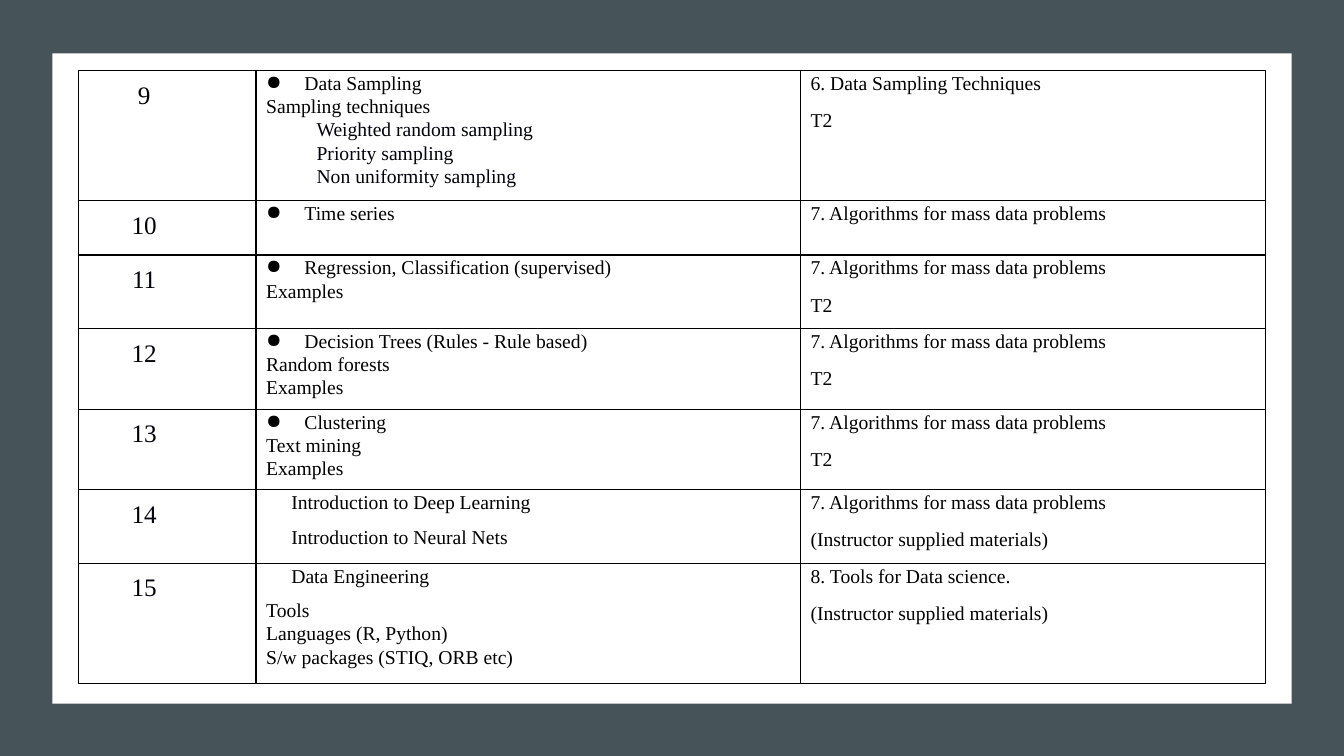
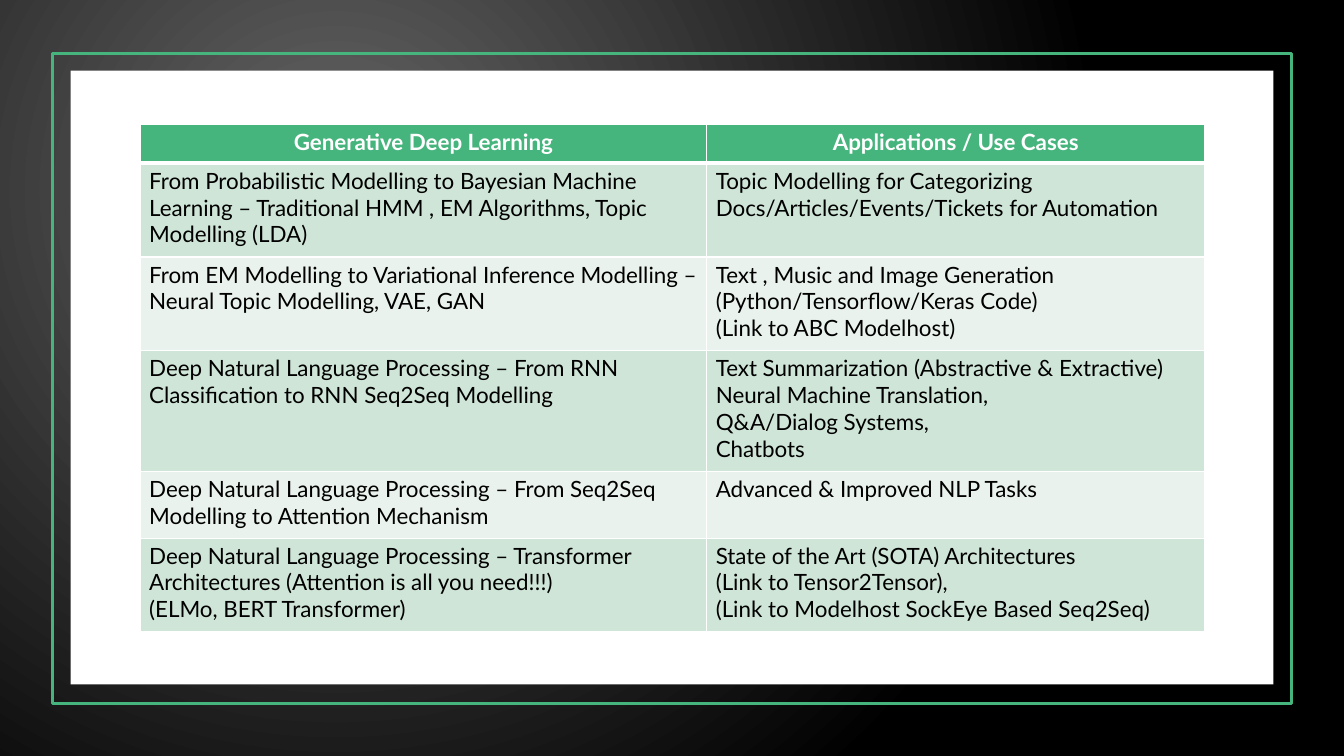
"""Build two course slides: a weekly plan table and a generative deep learning table."""
import lxml.etree
import pptx
import pptx.dml.color
import pptx.enum.shapes
import pptx.enum.text
import pptx.oxml
import pptx.oxml.ns
import pptx.util

Inches = pptx.util.Inches
Pt = pptx.util.Pt
ALIGN = pptx.enum.text.PP_ALIGN

COLORS = {
    "slate": "465359", "green": "46B47D", "white": "FFFFFF", "black": "000000",
    "ink": "00000A", "band_dark": "CFE5D7", "band_light": "E9F2EC",
    "glow": "676767",
}
SLIDE_SIZE = (13.33, 7.5)
FRAME = (0.52, 0.53, 12.29, 6.45)
INNER_PANEL = (0.7, 0.7, 11.93, 6.09)

MASS_DATA = "7. Algorithms for mass data problems"
SUPPLIED = "(Instructor supplied materials)"
PLAN = [
    ("9",
     [("bullet", "Data Sampling"), ("plain", "Sampling techniques"),
      ("nested", "Weighted random sampling"), ("nested", "Priority sampling "),
      ("nested", "Non uniformity sampling")],
     ["6. Data Sampling Techniques", "T2"]),
    ("10", [("bullet", "Time series")], [MASS_DATA]),
    ("11",
     [("bullet", "Regression, Classification (supervised)"), ("plain", "Examples")],
     [MASS_DATA, "T2"]),
    ("12",
     [("bullet", "Decision Trees (Rules - Rule based)"),
      ("plain", "Random forests"), ("plain", "Examples")],
     [MASS_DATA, "T2"]),
    ("13",
     [("bullet", "Clustering"), ("plain", "Text mining"), ("plain", "Examples")],
     [MASS_DATA, "T2"]),
    ("14",
     [("intro", "Introduction to Deep Learning"), ("intro", "Introduction to Neural Nets")],
     [MASS_DATA, SUPPLIED]),
    ("15",
     [("intro", "Data Engineering"), ("plain", "Tools"),
      ("plain", "Languages (R, Python)"), ("plain", "S/w packages (STIQ, ORB etc)")],
     ["8. Tools for Data science.", SUPPLIED]),
]
PLAN_COLUMNS = [1.76, 5.4, 4.61]
PLAN_ROWS = [1.29, 0.54, 0.73, 0.8, 0.8, 0.73, 1.19]
TOPIC_STYLES = {
    "bullet": {"indent": (0.38, -0.38), "bullet": "●"},
    "plain": {"indent": (0.38, -0.38)},
    "nested": {"indent": (0.81, -0.31), "color": "ink"},
    "intro": {"indent": (0.5, -0.25), "after": 8},
}

USE_CASES = [
    (["Generative Deep Learning"], ["Applications / Use Cases"]),
    (["From Probabilistic Modelling to Bayesian Machine Learning – Traditional HMM , "
      "EM Algorithms, Topic Modelling (LDA)"],
     ["Topic Modelling for Categorizing Docs/Articles/Events/Tickets for Automation"]),
    (["From EM Modelling to Variational Inference Modelling – Neural Topic Modelling, "
      "VAE, GAN"],
     ["Text , Music and Image Generation", "(Python/Tensorflow/Keras Code)",
      "(Link to ABC Modelhost)"]),
    (["Deep Natural Language Processing – From RNN Classification to RNN Seq2Seq Modelling"],
     ["Text Summarization (Abstractive & Extractive)", "Neural Machine Translation,",
      "Q&A/Dialog Systems,", "Chatbots"]),
    (["Deep Natural Language Processing – From Seq2Seq Modelling to Attention Mechanism"],
     ["Advanced & Improved NLP Tasks"]),
    (["Deep Natural Language Processing – Transformer Architectures "
      "(Attention is all you need!!!)", "(ELMo, BERT Transformer)"],
     ["State of the Art (SOTA) Architectures", "(Link to Tensor2Tensor),",
      "(Link to Modelhost SockEye Based Seq2Seq)"]),
]
USE_CASE_COLUMNS = [5.62, 4.94]
USE_CASE_ROWS = [0.39, 0.93, 0.93, 1.2, 0.66, 0.93]


def rgb(name):
    return pptx.dml.color.RGBColor.from_string(COLORS[name])


def add_panel(slide, box, fill=None, line=None):
    shape = slide.shapes.add_shape(
        pptx.enum.shapes.MSO_SHAPE.RECTANGLE, *map(Inches, box))
    shape.shadow.inherit = False
    if fill:
        shape.fill.solid()
        shape.fill.fore_color.rgb = rgb(fill)
    else:
        shape.fill.background()
    if line:
        shape.line.color.rgb = rgb(line)
        shape.line.width = Pt(1.75)
    else:
        shape.line.fill.background()
    return shape


def add_glow(shape):
    shape.fill.gradient()
    gradient = shape._element.spPr.find(pptx.oxml.ns.qn("a:gradFill"))
    glow = pptx.oxml.parse_xml(
        f'<a:gradFill {pptx.oxml.ns.nsdecls("a")} rotWithShape="1"><a:gsLst>'
        f'<a:gs pos="0"><a:srgbClr val="{COLORS["glow"]}"/></a:gs>'
        f'<a:gs pos="100000"><a:srgbClr val="{COLORS["black"]}"/></a:gs></a:gsLst>'
        '<a:path path="circle"><a:fillToRect l="50000" t="50000" r="100000" b="100000"/>'
        '</a:path></a:gradFill>')
    gradient.getparent().replace(gradient, glow)


def add_table(slide, left, top, columns, rows):
    frame = slide.shapes.add_table(
        len(rows), len(columns), Inches(left), Inches(top),
        Inches(sum(columns)), Inches(sum(rows)))
    table = frame.table
    for column, width in zip(table.columns, columns):
        column.width = Inches(width)
    for row, height in zip(table.rows, rows):
        row.height = Inches(height)
    return table


def style_cell(cell, margins, border, fill=None, widths=(1, 1, 1, 1)):
    (cell.margin_left, cell.margin_top,
     cell.margin_right, cell.margin_bottom) = map(Inches, margins)
    properties = cell._tc.get_or_add_tcPr()
    for side, width in zip("LRTB", widths):
        properties.append(pptx.oxml.parse_xml(
            f'<a:ln{side} {pptx.oxml.ns.nsdecls("a")} w="{Pt(width)}"><a:solidFill>'
            f'<a:srgbClr val="{COLORS[border]}"/></a:solidFill></a:ln{side}>'))
    if fill:
        cell.fill.solid()
        cell.fill.fore_color.rgb = rgb(fill)
    else:
        cell.fill.background()


def write_cell(cell, lines, font, size, color="black", bold=False,
               align=ALIGN.LEFT, spacing=None, after=0):
    for index, (text, style) in enumerate(lines):
        text_frame = cell.text_frame
        paragraph = text_frame.add_paragraph() if index else text_frame.paragraphs[0]
        paragraph.text = text
        paragraph.alignment = align
        paragraph.line_spacing = spacing
        paragraph.space_after = Pt(style.get("after", after))
        properties = paragraph._p.get_or_add_pPr()
        if "indent" in style:
            margin, indent = style["indent"]
            properties.set("marL", str(Inches(margin)))
            properties.set("indent", str(Inches(indent)))
        if "bullet" in style:
            lxml.etree.SubElement(
                properties, pptx.oxml.ns.qn("a:buChar"), char=style["bullet"])
        paragraph.font.name = font
        paragraph.font.size = Pt(size)
        paragraph.font.bold = bold
        paragraph.font.color.rgb = rgb(style.get("color", color))


def build_plan(slide):
    add_panel(slide, (0, 0, *SLIDE_SIZE), "slate")
    add_panel(slide, FRAME, "white")
    table = add_table(slide, 0.78, 0.7, PLAN_COLUMNS, PLAN_ROWS)
    shared = {"font": "Times New Roman", "spacing": 1.07}
    week_margins, text_margins = (0.09, 0.09, 0.55, 0.09), (0.1, 0.01, 0.1, 0)
    for row, (week, topics, sources) in enumerate(PLAN):
        week_cell, topic_cell, source_cell = table.rows[row].cells
        style_cell(week_cell, week_margins, "black")
        style_cell(topic_cell, text_margins, "black")
        style_cell(source_cell, text_margins, "black")
        write_cell(week_cell, [(week, {})], size=18, color="ink",
                   align=ALIGN.CENTER, after=8, **shared)
        write_cell(topic_cell, [(text, TOPIC_STYLES[kind]) for kind, text in topics],
                   size=14, align=ALIGN.JUSTIFY, **shared)
        write_cell(source_cell, [(text, {}) for text in sources],
                   size=14, after=10, **shared)


def build_use_cases(slide):
    add_glow(add_panel(slide, (0, 0, *SLIDE_SIZE), "black"))
    add_panel(slide, FRAME, line="green")
    add_panel(slide, INNER_PANEL, "white")
    table = add_table(slide, 1.39, 1.23, USE_CASE_COLUMNS, USE_CASE_ROWS)
    for row, texts in enumerate(USE_CASES):
        header = row == 0
        fill = "green" if header else ("band_light", "band_dark")[row % 2]
        widths = (1, 1, 3 if row == 1 else 1, 3 if header else 1)
        for cell, lines in zip(table.rows[row].cells, texts):
            style_cell(cell, (0.09, 0.04, 0.09, 0.04), "white", fill, widths)
            write_cell(cell, [(text, {}) for text in lines], "Lato", 16,
                       color="white" if header else "black", bold=header,
                       align=ALIGN.CENTER if header else ALIGN.LEFT)


def main():
    presentation = pptx.Presentation()
    presentation.slide_width, presentation.slide_height = map(Inches, SLIDE_SIZE)
    for build in (build_plan, build_use_cases):
        build(presentation.slides.add_slide(presentation.slide_layouts[6]))
    presentation.save("out.pptx")


if __name__ == "__main__":
    main()
